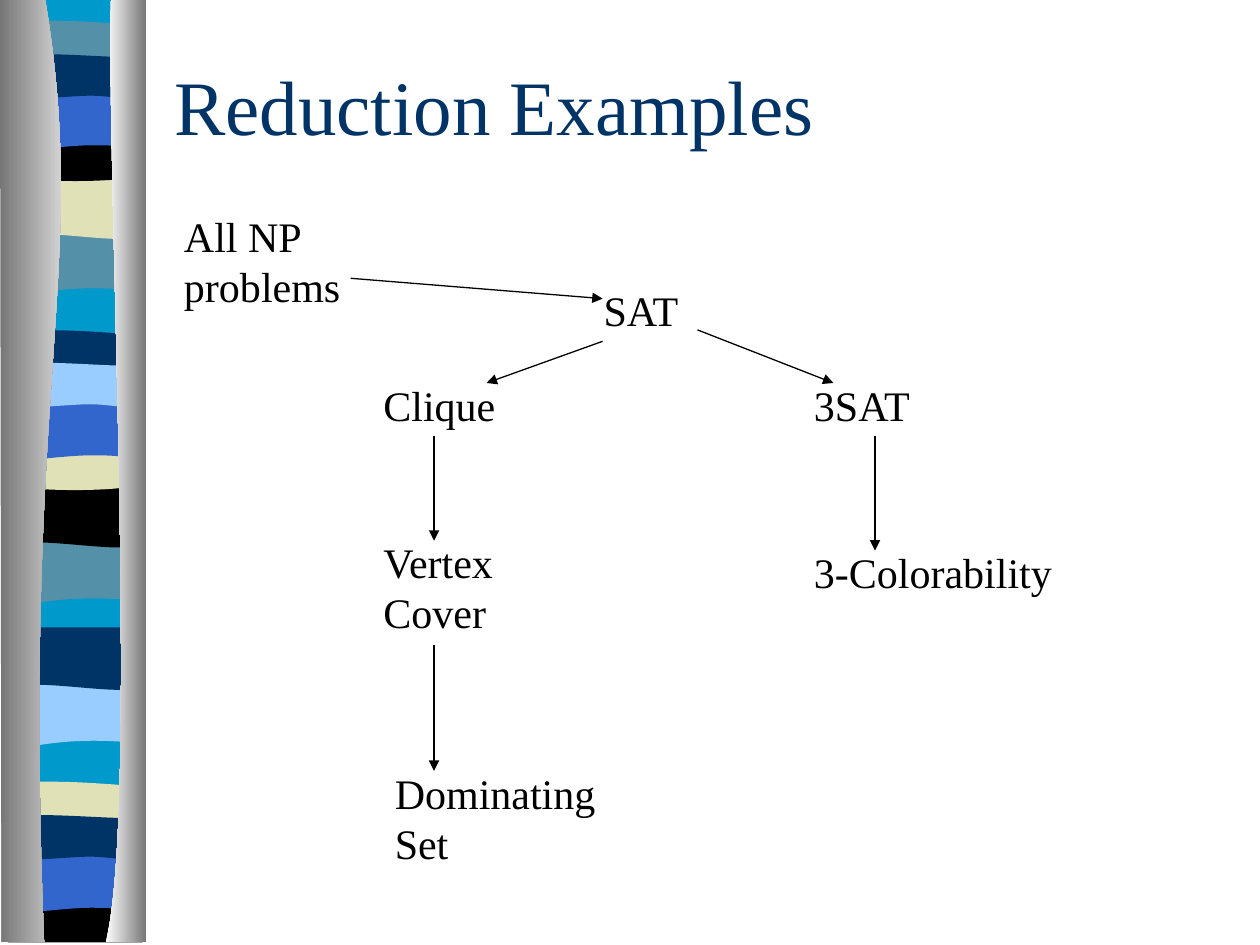
from lxml.etree import SubElement
from pptx import Presentation
from pptx.dml.color import RGBColor
from pptx.enum.shapes import MSO_CONNECTOR
from pptx.enum.text import MSO_ANCHOR, PP_ALIGN
from pptx.oxml.ns import qn
from pptx.util import Cm, Pt

BLACK = RGBColor(0x00, 0x00, 0x00)
NAVY = RGBColor(0x00, 0x33, 0x66)
CYAN = RGBColor(0x00, 0x99, 0xCC)
TEAL = RGBColor(0x54, 0x90, 0xA8)
SAND = RGBColor(0xE1, 0xE1, 0xB7)
BLUE = RGBColor(0x33, 0x66, 0xCC)
SKY = RGBColor(0x99, 0xCC, 0xFF)
GREY = RGBColor(0x76, 0x76, 0x76)
WHITE = RGBColor(0xFF, 0xFF, 0xFF)
FONT = "Times New Roman"

OUTLINES = {
    "backdrop": [[(2.74, 0)], [(2.74, 19)], [(0, 19)], [(0, 0)], [(2.74, 0)]],
    "slant": [[(2.74, 0)], [(2.74, 0), (2.74, 1.19), (2.74, 1.19)],
              [(0.84, 0.99), (0.46, 1.4), (0, 1.19)], [(0, 0)], [(2.74, 0)]],
    "swell": [[(2.74, 0)], [(2.74, 1.19)],
              [(2.29, 1.4), (0.84, 1.04), (0, 1.19)], [(0, 0)], [(2.74, 0)]],
    "crest": [[(2.74, 0.13)], [(2.74, 0.74)],
              [(2.29, 0.84), (0.46, 0.84), (0, 0.74)], [(0, 0.13)],
              [(0.15, 0), (0.58, 0.03), (1.04, 0.03)],
              [(1.5, 0.03), (2.39, 0.1), (2.74, 0.13)]],
    "cap": [[(2.74, 0)], [(2.74, 0.81)],
            [(2.29, 0.97), (0.46, 0.97), (0, 0.81)], [(0, 0)],
            [(1.68, 0.13), (2.16, 0), (2.74, 0)]],
    "arch": [[(2.74, 0)], [(2.74, 0), (2.74, 1.19), (2.74, 1.19)],
             [(2.31, 1.07), (2.13, 1.07), (1.68, 1.07)],
             [(1.22, 1.07), (0.41, 1.19), (0, 1.19)], [(0, 0)], [(2.74, 0)]],
    "ripple": [[(2.74, 0.13)], [(2.74, 0.91)],
               [(2.57, 1.04), (2.13, 0.91), (1.68, 0.91)],
               [(1.22, 0.91), (0.28, 1.04), (0, 0.91)], [(0, 0.13)],
               [(0.38, 0), (1.85, 0.13), (2.31, 0.13)],
               [(2.77, 0.13), (2.64, 0.13), (2.74, 0.13)]],
    "base": [[(2.74, 0)], [(2.74, 0.94)], [(0.03, 0.94)], [(0, 0)],
             [(1.68, 0.13), (2.16, 0), (2.74, 0)]],
    "left column": [[(0.91, 0)], [(1.82, 5.49), (0.43, 7.52), (0.89, 19.02)],
                    [(0.03, 19.02)], [(0, 0)], [(0.91, 0)]],
    "right column": [[(2.24, 0)], [(2.13, 3.18), (2.82, 16.41), (2.13, 19.02)],
                     [(2.95, 19.02)], [(2.95, 0)], [(2.24, 0)]],
}

BANDS = [
    ("backdrop", 0.15, 0, CYAN),
    ("slant", 0.15, 4.7, TEAL), ("swell", 0.15, 3.58, SAND),
    ("crest", 0.15, 0.41, TEAL), ("cap", 0.15, 2.74, BLACK),
    ("arch", 0.15, 1.88, BLUE), ("ripple", 0.15, 1.04, NAVY),
    ("slant", 0.13, 10.95, TEAL), ("swell", 0.13, 9.8, BLACK),
    ("crest", 0.13, 6.65, NAVY), ("cap", 0.13, 8.97, SAND),
    ("arch", 0.13, 8.13, BLUE), ("ripple", 0.13, 7.26, SKY),
    ("slant", 0.15, 13.82, SKY), ("swell", 0.15, 12.67, NAVY),
    ("crest", 0.13, 15.75, SAND), ("base", 0.13, 18.08, BLACK),
    ("arch", 0.13, 17.25, BLUE), ("ripple", 0.13, 16.38, NAVY),
]

PROBLEMS = [
    ("Vertex Cover", 4.02, 6.58, 2.97, 2.29),
    ("Clique", 4.02, 3.41, 3.18, 1.27),
    ("3SAT", 12.7, 3.41, 3.61, 1.27),
    ("SAT", 8.46, 1.5, 2.34, 1.27),
    ("3-Colorability", 12.7, 6.79, 6.35, 1.27),
    ("Dominating Set", 4.25, 11.23, 4.88, 2.29),
    ("All NP problems", 0, 0, 3.81, 2.29),
]

REDUCTIONS = [
    (3.61, 1.5, 8.69, 1.91), (8.69, 2.77, 6.35, 3.61),
    (5.29, 4.68, 5.29, 6.79), (5.29, 8.89, 5.29, 11.43),
    (14.18, 4.68, 14.18, 6.99), (10.6, 2.54, 13.34, 3.61),
]


def bend(piece, steps):
    """Turn each step of three points in a freeform into a cubic curve."""
    lines = iter(list(piece._element.iter(qn("a:lnTo"))))
    for step in steps[1:]:
        first, *others = [next(lines) for _ in step]
        if others:
            first.tag = qn("a:cubicBezTo")
            for line in others:
                first.append(line[0])
                line.getparent().remove(line)


def add_outline(shapes, outline, left, top, *colors):
    """Draw a named outline with a plain fill, or a gradient for two colours."""
    steps = OUTLINES[outline]
    points = [(Cm(left + x), Cm(top + y)) for step in steps for x, y in step]
    builder = shapes.build_freeform(*points[0])
    builder.add_line_segments(points[1:], close=True)
    piece = builder.convert_to_shape()
    bend(piece, steps)
    piece.shadow.inherit = False
    piece.line.fill.background()
    if len(colors) == 1:
        piece.fill.solid()
        piece.fill.fore_color.rgb = colors[0]
    else:
        piece.fill.gradient()
        piece.fill.gradient_angle = 0
        for stop, color in zip(piece.fill.gradient_stops, colors):
            stop.color.rgb = color


def write(frame, text, size=24, color=BLACK, anchor=MSO_ANCHOR.TOP):
    """Put formatted, left-aligned text into a text frame."""
    frame.word_wrap = True
    frame.vertical_anchor = anchor
    frame.text = text
    paragraph = frame.paragraphs[0]
    paragraph.alignment = PP_ALIGN.LEFT
    paragraph.font.name = FONT
    paragraph.font.size = Pt(size)
    paragraph.font.color.rgb = color


def add_arrow(shapes, *ends):
    """Draw a thin black arrow between two points given in centimetres."""
    arrow = shapes.add_connector(MSO_CONNECTOR.STRAIGHT, *map(Cm, ends))
    arrow.line.color.rgb = BLACK
    arrow.line.width = Pt(0.75)
    SubElement(arrow.line._get_or_add_ln(), qn("a:tailEnd"), type="triangle")
    SubElement(arrow._element.spPr, qn("a:effectLst"))


def draw_border(slide, master, left, top):
    """Draw the wavy bands between two shaded columns on the master."""
    border = slide.shapes.add_group_shape()
    for outline, x, y, color in BANDS:
        add_outline(border.shapes, outline, left + x, top + y, color)
    add_outline(border.shapes, "left column", left, top, GREY, WHITE)
    add_outline(border.shapes, "right column", left, top, WHITE, GREY)
    for number, properties in enumerate(border._element.iter(qn("p:cNvPr")), 100):
        properties.set("id", str(number))
    master.shapes._spTree.append(border._element)


def place_title(slide, left, top, width, height):
    """Move and format the title placeholder."""
    title = slide.shapes.title
    title.left, title.top, title.width, title.height = map(Cm, (left, top, width, height))
    write(title.text_frame, "Reduction Examples", size=44, color=NAVY,
          anchor=MSO_ANCHOR.MIDDLE)


def draw_reductions(slide, left, top):
    """Draw the problems and the arrows that reduce one to another."""
    shapes = slide.shapes.add_group_shape().shapes
    for problem, x, y, width, height in PROBLEMS:
        label = shapes.add_textbox(Cm(left + x), Cm(top + y), Cm(width), Cm(height))
        write(label.text_frame, problem)
    for x1, y1, x2, y2 in REDUCTIONS:
        add_arrow(shapes, left + x1, top + y1, left + x2, top + y2)


def main():
    """Build the slide and save it."""
    deck = Presentation()
    deck.slide_width, deck.slide_height = Cm(25.4), Cm(19.05)
    slide = deck.slides.add_slide(deck.slide_layouts[5])
    draw_border(slide, deck.slide_master, 0, -0.02)
    place_title(slide, 3.26, 0.53, 21.59, 3.18)
    draw_reductions(slide, 3.46, 4.11)
    deck.save("out.pptx")


if __name__ == "__main__":
    main()
